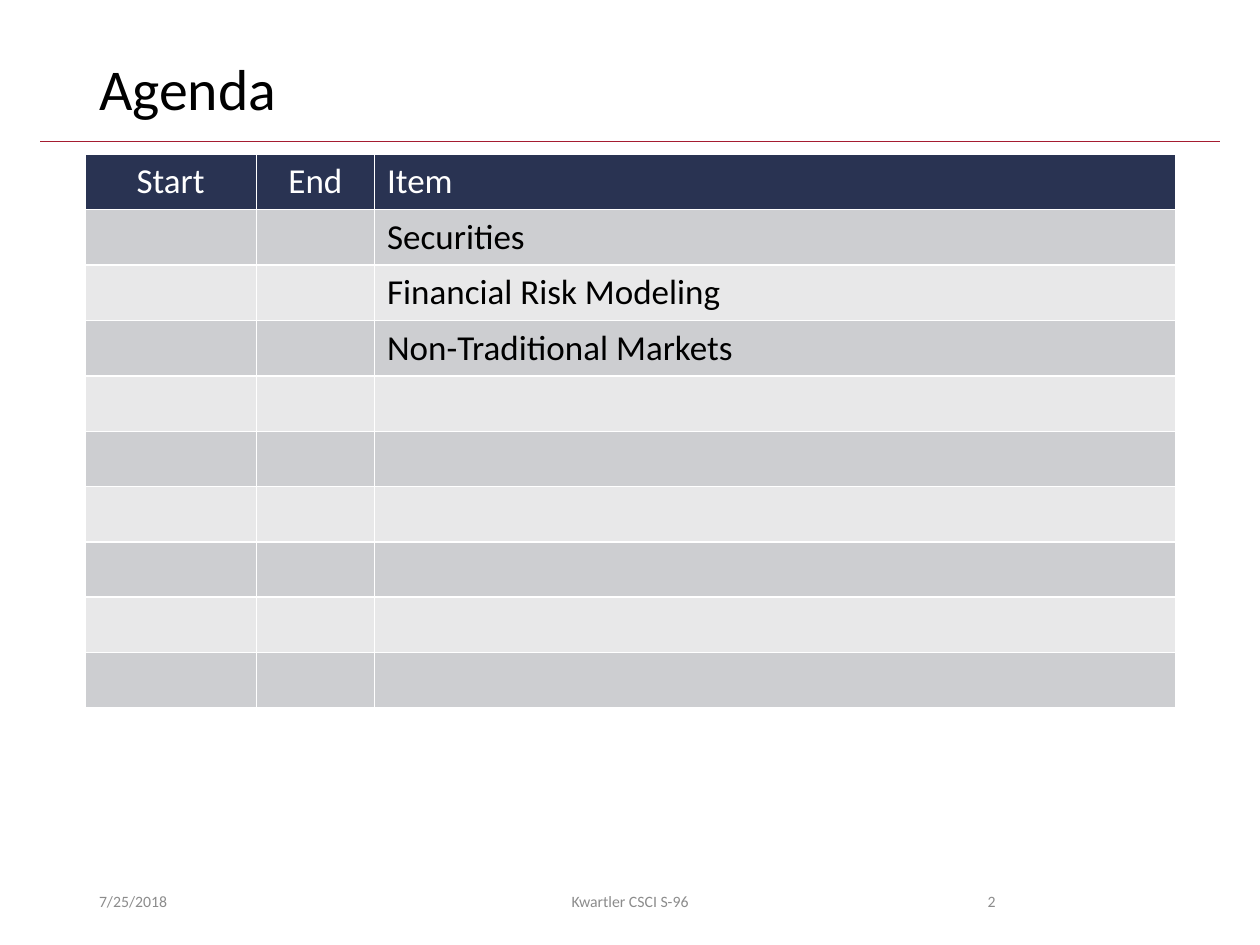
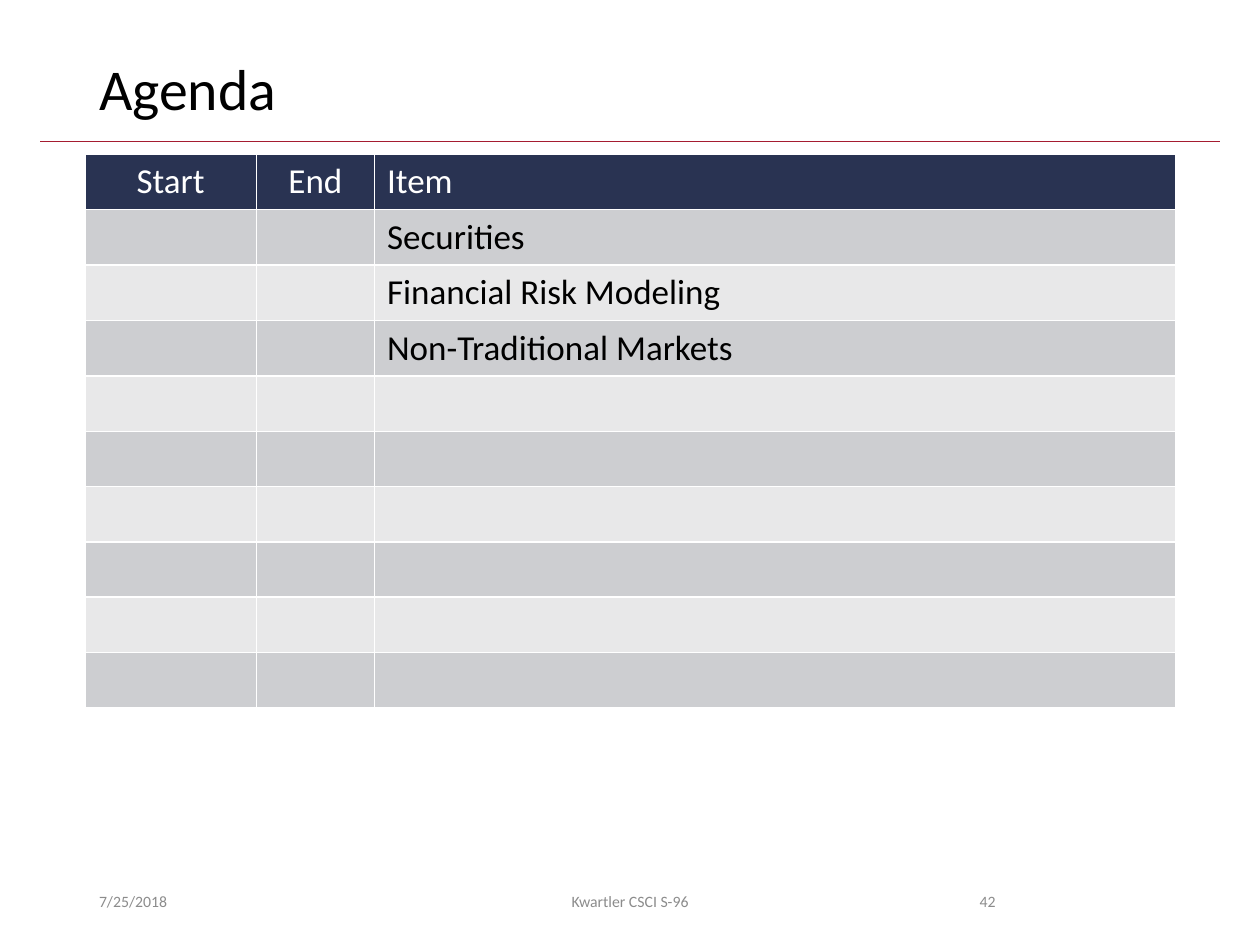
from dataclasses import dataclass

from lxml import etree
from pptx import Presentation
from pptx.dml.color import RGBColor
from pptx.enum.shapes import MSO_CONNECTOR
from pptx.enum.text import MSO_ANCHOR, MSO_AUTO_SIZE, PP_ALIGN
from pptx.oxml.ns import qn
from pptx.presentation import Presentation as Deck
from pptx.slide import Slide
from pptx.text.text import TextFrame
from pptx.util import Pt

LEFT, CENTER, RIGHT = PP_ALIGN.LEFT, PP_ALIGN.CENTER, PP_ALIGN.RIGHT
MIDDLE = MSO_ANCHOR.MIDDLE
NO_AUTOFIT = MSO_AUTO_SIZE.NONE
STRAIGHT = MSO_CONNECTOR.STRAIGHT

BLACK = RGBColor(0x00, 0x00, 0x00)
WHITE = RGBColor(0xFF, 0xFF, 0xFF)
CRIMSON = RGBColor(0xA5, 0x1C, 0x30)
NAVY = RGBColor(0x29, 0x33, 0x52)
DARK_BAND = RGBColor(0xCD, 0xCE, 0xD1)
LIGHT_BAND = RGBColor(0xE8, 0xE8, 0xE9)
FOOTER_GREY = RGBColor(0x8C, 0x8C, 0x8C)
FONT = "Calibri"

SLIDE_WIDTH, SLIDE_HEIGHT = 720, 540
MARGIN = 49.5
RULE_INSET, RULE_TOP = 23, 80.8
TABLE_LEFT, TABLE_TOP = 48.5, 88
ROW_HEIGHT, ROW_COUNT = 31.6, 10
FOOTER_TOP, FOOTER_HEIGHT = 500.5, 28.75


@dataclass(frozen=True)
class Column:
    heading: str
    width: float
    align: PP_ALIGN


@dataclass(frozen=True)
class FooterPart:
    text: str
    left: float
    width: float
    align: PP_ALIGN


@dataclass(frozen=True)
class AgendaSlide:
    title: str
    items: tuple[str, ...]
    number: int


COLUMNS = (
    Column("Start", 98, CENTER),
    Column("End", 67.5, CENTER),
    Column("Item", 458, LEFT),
)
TOPICS = ("Securities", "Financial Risk Modeling", "Non-Traditional Markets")
AGENDAS = (AgendaSlide("Agenda", TOPICS, 2), AgendaSlide("Agenda", TOPICS, 42))


def write(frame: TextFrame, text: str, size: float, color: RGBColor,
          align: PP_ALIGN = LEFT) -> None:
    frame.text = text
    paragraph = frame.paragraphs[0]
    paragraph.alignment = align
    for run in paragraph.runs:
        run.font.name = FONT
        run.font.size = Pt(size)
        run.font.bold = False
        run.font.color.rgb = color


def add_title(slide: Slide, text: str) -> None:
    title = slide.shapes.title
    title.left, title.top = Pt(MARGIN), Pt(28.8)
    title.width, title.height = Pt(SLIDE_WIDTH - 2 * MARGIN), Pt(46.8)
    frame = title.text_frame
    frame.auto_size = NO_AUTOFIT
    frame.vertical_anchor = MIDDLE
    write(frame, text, 33, BLACK)
    frame.paragraphs[0].line_spacing = 0.9


def add_rule(slide: Slide) -> None:
    rule = slide.shapes.add_connector(
        STRAIGHT, Pt(RULE_INSET), Pt(RULE_TOP),
        Pt(SLIDE_WIDTH - RULE_INSET), Pt(RULE_TOP))
    rule.line.color.rgb = CRIMSON
    rule.line.width = Pt(0.5)
    etree.SubElement(rule.element.spPr, qn("a:effectLst"))


def add_agenda_table(slide: Slide, items: tuple[str, ...]) -> None:
    table = slide.shapes.add_table(
        ROW_COUNT, len(COLUMNS), Pt(TABLE_LEFT), Pt(TABLE_TOP),
        Pt(sum(column.width for column in COLUMNS)),
        Pt(ROW_HEIGHT * ROW_COUNT)).table
    for row in table.rows:
        row.height = Pt(ROW_HEIGHT)
    for index, column in enumerate(COLUMNS):
        table.columns[index].width = Pt(column.width)
        write(table.cell(0, index).text_frame, column.heading, 20, WHITE,
              column.align)
    for row_index, item in enumerate(items, start=1):
        write(table.cell(row_index, len(COLUMNS) - 1).text_frame, item, 20,
              BLACK)
    for row_index, row in enumerate(table.rows):
        band = DARK_BAND if row_index % 2 else LIGHT_BAND
        for cell in row.cells:
            cell.fill.solid()
            cell.fill.fore_color.rgb = band if row_index else NAVY


def add_footer(slide: Slide, number: int) -> None:
    parts = (
        FooterPart("7/25/2018", MARGIN, 162, LEFT),
        FooterPart("Kwartler CSCI S-96", 238.5, 243, CENTER),
        FooterPart(str(number), 508.5, 67.5, RIGHT),
    )
    for part in parts:
        frame = slide.shapes.add_textbox(
            Pt(part.left), Pt(FOOTER_TOP), Pt(part.width),
            Pt(FOOTER_HEIGHT)).text_frame
        frame.word_wrap = True
        frame.vertical_anchor = MIDDLE
        write(frame, part.text, 9, FOOTER_GREY, part.align)


def add_agenda_slide(deck: Deck, agenda: AgendaSlide) -> None:
    slide = deck.slides.add_slide(deck.slide_layouts.get_by_name("Title Only"))
    add_rule(slide)
    add_title(slide, agenda.title)
    add_agenda_table(slide, agenda.items)
    add_footer(slide, agenda.number)


def main() -> None:
    deck = Presentation()
    deck.slide_width, deck.slide_height = Pt(SLIDE_WIDTH), Pt(SLIDE_HEIGHT)
    for agenda in AGENDAS:
        add_agenda_slide(deck, agenda)
    deck.save("out.pptx")


if __name__ == "__main__":
    main()
